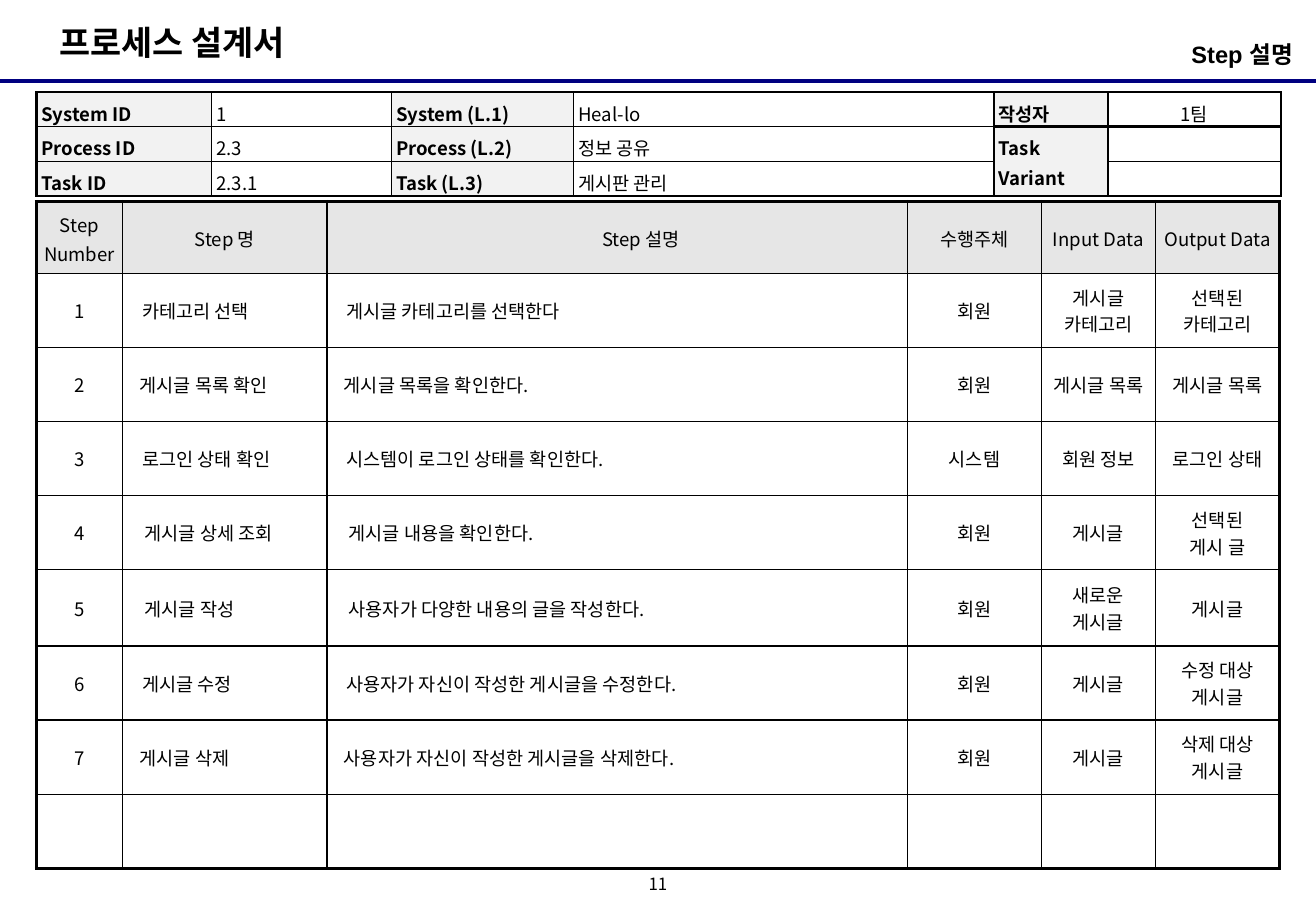
"""Builds the process design sheet with its header table and step table."""
from lxml import etree
from pptx import Presentation
from pptx import util as u
from pptx.dml.color import RGBColor
from pptx.enum import shapes, text
from pptx.oxml.ns import qn

COLORS = {"ink": "000000", "rule": "000080", "label": "F2F2F2", "head": "E6E6E6"}
KOREAN = "Noto Sans CJK KR"
LEFT, CENTER, RIGHT = text.PP_ALIGN.LEFT, text.PP_ALIGN.CENTER, text.PP_ALIGN.RIGHT


def write(frame, content, size, align=LEFT, bold=False, latin=KOREAN, spacing=None, indent=0):
    """Fill a text frame, one paragraph per line of content."""
    for number, line in enumerate(content.split("\n")):
        paragraph = frame.add_paragraph() if number else frame.paragraphs[0]
        paragraph.alignment = align
        if spacing:
            paragraph.line_spacing = spacing
        if indent:
            paragraph._p.get_or_add_pPr().set("marL", str(u.Inches(indent)))
        if line:
            paragraph.add_run().text = line
        else:
            paragraph._p.get_or_add_endParaRPr().set("sz", str(size * 100))
        font = paragraph.font
        font.size, font.bold = u.Pt(size), bold
        font.color.rgb = RGBColor.from_string(COLORS["ink"])
        font.name = latin
        east_asian = etree.SubElement(paragraph._p.pPr.find(qn("a:defRPr")), qn("a:ea"))
        east_asian.set("typeface", KOREAN)


def style_cell(cell, widths, fill, margins):
    """Set the borders (left, right, top, bottom), fill and margins of a cell."""
    properties = cell._tc.get_or_add_tcPr()
    for side, width in zip("LRTB", widths):
        border = etree.SubElement(properties, qn("a:ln" + side), w=str(u.Pt(width)))
        solid = etree.SubElement(border, qn("a:solidFill"))
        etree.SubElement(solid, qn("a:srgbClr"), val=COLORS["ink"])
    if fill:
        cell.fill.solid()
        cell.fill.fore_color.rgb = RGBColor.from_string(COLORS[fill])
    else:
        cell.fill.background()
    cell.margin_left = cell.margin_right = u.Inches(margins[0])
    cell.margin_top = cell.margin_bottom = u.Inches(margins[1])


prs = Presentation()
prs.slide_width, prs.slide_height = u.Inches(10.83), u.Inches(7.5)
slide = prs.slides.add_slide(prs.slide_layouts[6])

rule = slide.shapes.add_connector(
    shapes.MSO_CONNECTOR.STRAIGHT, 0, u.Inches(0.67), u.Inches(10.83), u.Inches(0.67))
rule.line.color.rgb = RGBColor.from_string(COLORS["rule"])
rule.line.width = u.Pt(2.25)
etree.SubElement(rule._element.spPr, qn("a:effectLst"))

captions = [
    ("프로세스 설계서", (0.39, 0.13, 2.26, 0.44), (0.1, 0.05, 0.1, 0.05), False,
     dict(size=20, bold=True)),
    ("11", (5.25, 7.17, 0.33, 0.25), (0, 0, 0, 0), False,
     dict(size=10, align=CENTER, spacing=0.8)),
    ("Step 설명", (7.39, 0.28, 3.31, 0.39), (0, 0.05, 0.06, 0.05), True,
     dict(size=14, align=RIGHT, bold=True, latin="Arial")),
]
for content, place, insets, wrap, look in captions:
    frame = slide.shapes.add_textbox(*map(u.Inches, place)).text_frame
    frame.word_wrap = wrap
    frame.margin_left, frame.margin_top, frame.margin_right, frame.margin_bottom = map(
        u.Inches, insets)
    write(frame, content, **look)
    if content == "11":
        frame.vertical_anchor = text.MSO_ANCHOR.MIDDLE

info_rows = [
    ["System ID", "1", "System (L.1)", "Heal-lo", "작성자", "1팀"],
    ["Process ID", "2.3", "Process (L.2)", "정보 공유", "Task Variant", ""],
    ["Task ID", "2.3.1", "Task (L.3)", "게시판 관리", "", ""],
]
step_rows = [
    ["Step Number", "Step 명", "Step 설명", "수행주체", "Input Data", "Output Data"],
    ["1", "카테고리 선택", "게시글 카테고리를 선택한다", "회원", "게시글 카테고리", "선택된\n카테고리"],
    ["2", "게시글 목록 확인", "게시글 목록을 확인한다.", "회원", "게시글 목록", "게시글 목록"],
    ["3", "로그인 상태 확인", "시스템이 로그인 상태를 확인한다.", "시스템", "회원 정보", "로그인 상태"],
    ["4", "게시글 상세 조회", "게시글 내용을 확인한다.", "회원", "게시글", "선택된\n게시 글"],
    ["5", "게시글 작성", "사용자가 다양한 내용의 글을 작성한다.", "회원", "새로운\n게시글", "게시글"],
    ["6", "게시글 수정", "사용자가 자신이 작성한 게시글을 수정한다.", "회원", "게시글", "수정 대상\n게시글"],
    ["7", "게시글 삭제", "사용자가 자신이 작성한 게시글을 삭제한다.", "회원", "게시글", "삭제 대상 게시글"],
    [""] * 6,
]
step_indents = [0, 0.1, 0.08, 0.1, 0.12, 0.12, 0.1, 0.08, 0]

tables = []
for rows, top, column_widths, row_heights in [
    (info_rows, 0.76, [1.44, 1.48, 1.5, 3.46, 0.94, 1.42], [0.28, 0.29, 0.28]),
    (step_rows, 1.66, [0.71, 1.68, 4.78, 1.1, 0.94, 1.02], [0.59] + [0.61] * 4 + [0.63] + [0.61] * 3),
]:
    table = slide.shapes.add_table(
        len(rows), 6, u.Inches(0.3), u.Inches(top),
        u.Inches(sum(column_widths)), u.Inches(sum(row_heights))).table
    table.first_row = table.horz_banding = False
    for column, width in zip(table.columns, column_widths):
        column.width = u.Inches(width)
    for row, height in zip(table.rows, row_heights):
        row.height = u.Inches(height)
    tables.append(table)
info, steps = tables
info.cell(1, 4).merge(info.cell(2, 4))

for r, row in enumerate(info_rows):
    for c, content in enumerate(row):
        cell = info.cell(r, c)
        if cell.is_spanned:
            continue
        label = c in (0, 2, 4)
        widths = [1.5 if heavy else 1 for heavy in (
            c == 0, c == 5, r == 0 or (r == 1 and c > 3),
            r == 2 or (r == 0 and c > 3) or (r == 1 and c == 4))]
        style_cell(cell, widths, "label" if label else None, (0.04, 0.04))
        if c > 3:
            cell.vertical_anchor = text.MSO_ANCHOR.MIDDLE
        write(cell.text_frame, content, 11, CENTER if c == 5 else LEFT, label, spacing=1.1)

for r, row in enumerate(step_rows):
    for c, content in enumerate(row):
        cell = steps.cell(r, c)
        widths = [2.25 if edge else 1 for edge in (c == 0, c == 5, r == 0, r == 8)]
        style_cell(cell, widths, "head" if r == 0 else None, (0.06, 0.04))
        cell.vertical_anchor = text.MSO_ANCHOR.MIDDLE
        described = r > 0 and c in (1, 2)
        indent = step_indents[r] if described else 0.39 if (r, c) == (0, 2) else 0
        write(cell.text_frame, content, 11, LEFT if described else CENTER,
              spacing=1.1 if r == 0 else None, indent=indent)

prs.save("out.pptx")
